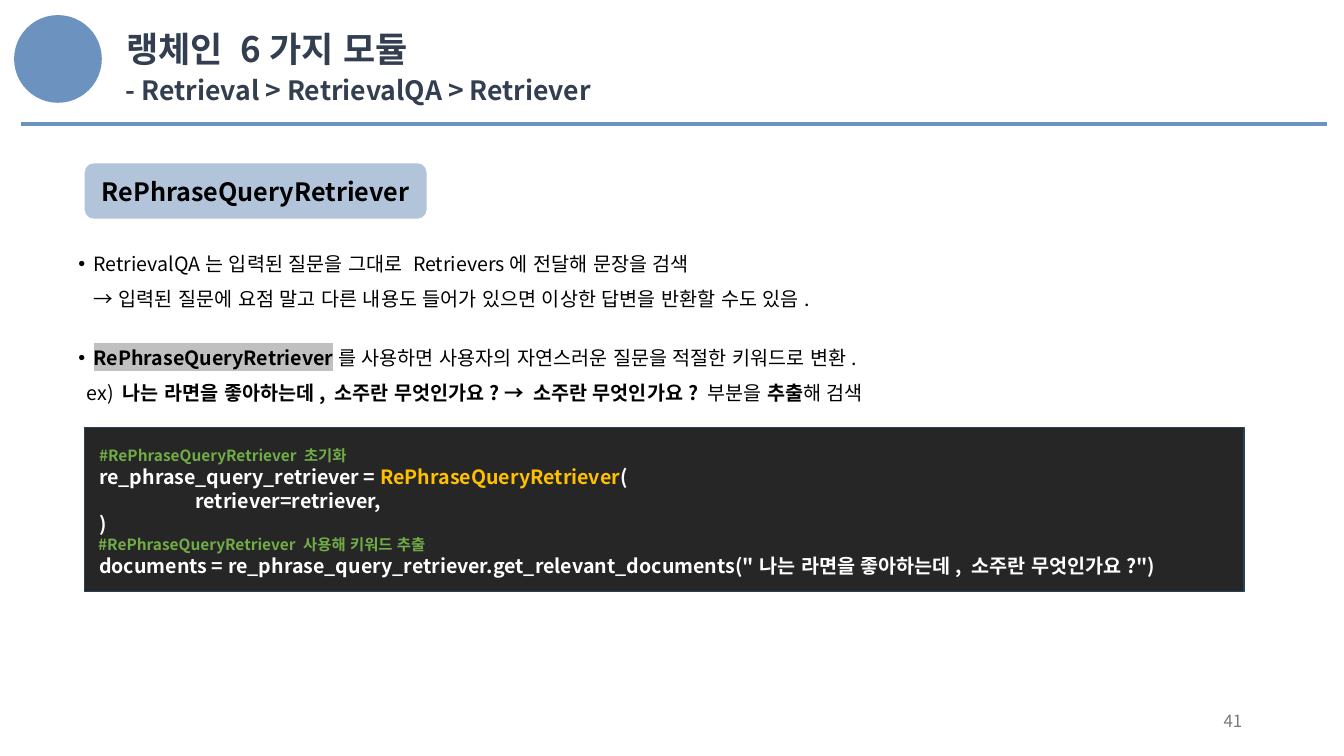
from lxml import etree
from pptx import Presentation
from pptx.dml.color import RGBColor
from pptx.enum.lang import MSO_LANGUAGE_ID
from pptx.enum.shapes import MSO_CONNECTOR, MSO_SHAPE
from pptx.enum.text import MSO_ANCHOR, MSO_AUTO_SIZE, PP_ALIGN
from pptx.oxml.ns import qn
from pptx.util import Inches, Pt

KR, SC = "Noto Sans CJK KR", "Noto Sans CJK SC"
BLUE, NAVY, GREEN = "6C92C0", "333F50", "70AD47"

# Format values of a run
TITLE = dict(size=25, name=KR, color=NAVY, bold=True)
SUBTITLE = dict(TITLE, size=19)
BODY = dict(size=14, name=SC, color="000000", bold=False)
BOLD = dict(BODY, bold=True)
MARKED = dict(BOLD, highlight="C0C0C0")
LABEL = dict(BOLD, size=18)
CODE = dict(BOLD, color="FFFFFF")
CLASS_NAME = dict(CODE, color="FFC000")
COMMENT = dict(CODE, size=11, color=GREEN)
PAGE_NUMBER = dict(BODY, size=12, color="797979")

# Each paragraph is a list of (text, format) runs
title_lines = [[("랭체인 6가지 모듈", TITLE)]]
subtitle_lines = [[("- Retrieval > ", dict(SUBTITLE, color="333F4F")),
                   ("RetrievalQA > Retriever", SUBTITLE)]]
label_lines = [[("RePhraseQueryRetriever", LABEL)]]
body_lines = [
    [("RetrievalQA는 입력된 질문을 그대로 Retrievers에 전달해 문장을 검색\v"
      "→ 입력된 질문에 요점 말고 다른 내용도 들어가 있으면 이상한 답변을 반환할 수도 있음.", BODY)],
    [("RePhraseQueryRetriever", MARKED),
     ("를 사용하면 사용자의 자연스러운 질문을 적절한 키워드로 변환.", BODY)],
    [("ex) ", BODY),
     ("나는 라면을 좋아하는데, 소주란 무엇인가요? → 소주란 무엇인가요? ", BOLD),
     ("부분을 ", BODY), ("추출", BOLD), ("해 검색", BODY)],
]
# Bullet, left margin in inches and space before in points, one per body paragraph
body_layout = [("•", 0.15, 0), ("•", 0.15, 17), (None, 0.08, 0)]
code_lines = [
    [(" ", CODE), ("#RePhraseQueryRetriever 초기화", COMMENT)],
    [(" re_phrase_query_retriever = ", CODE), ("RePhraseQueryRetriever", CLASS_NAME),
     ("(", CODE)],
    [("\tretriever=retriever,", CODE)],
    [(" )", CODE)],
    [(" #RePhraseQueryRetriever 사용해 키워드 추출", COMMENT)],
    [(' documents = re_phrase_query_retriever.get_relevant_documents('
      '"나는 라면을 좋아하는데, 소주란 무엇인가요?")', CODE)],
]


def rgb(color):
    return RGBColor.from_string(color)


def inches(*lengths):
    return [Inches(length) for length in lengths]


def format_span(span, values):
    font = span.font
    font.color.rgb = rgb(values["color"])
    if "highlight" in values:
        mark = etree.SubElement(font._element, qn("a:highlight"))
        etree.SubElement(mark, qn("a:srgbClr"), val=values["highlight"])
    for key, value in dict(size=Pt(values["size"]), bold=values["bold"],
                           name=values["name"],
                           language_id=MSO_LANGUAGE_ID.KOREAN).items():
        setattr(font, key, value)
    east_asian = etree.Element(qn("a:ea"), typeface=values["name"])
    font._element.find(qn("a:latin")).addnext(east_asian)


def write(box, lines, align=PP_ALIGN.LEFT, **frame_values):
    frame = box.text_frame
    for key, value in frame_values.items():
        setattr(frame, key, value)
    for index, line in enumerate(lines):
        para = frame.paragraphs[0] if index == 0 else frame.add_paragraph()
        para.alignment = align
        for text, values in line:
            for number, piece in enumerate(text.split("\v")):
                if number:
                    para.add_line_break()
                span = para.add_run()
                span.text = piece
                format_span(span, values)


def add_block(page, kind, place, fill, line=None):
    block = page.shapes.add_shape(kind, *inches(*place))
    block.shadow.inherit = False
    block.fill.solid()
    block.fill.fore_color.rgb = rgb(fill)
    if line:
        block.line.color.rgb = rgb(line)
        block.line.width = Pt(1)
    else:
        block.line.fill.background()
    return block


def set_bullet(para, bullet, margin):
    properties = para._p.get_or_add_pPr()
    properties.set("marL", str(Inches(margin)))
    if bullet:
        properties.set("indent", str(-Inches(margin)))
        etree.SubElement(properties, qn("a:buFont"), typeface="Arial")
        etree.SubElement(properties, qn("a:buChar"), char=bullet)


def set_tab(para, position):
    tabs = etree.SubElement(para._p.get_or_add_pPr(), qn("a:tabLst"))
    etree.SubElement(tabs, qn("a:tab"), pos=str(Inches(position)), algn="l")


def add_header(page):
    add_block(page, MSO_SHAPE.OVAL, (0.14, 0.15, 0.87, 0.87), BLUE)
    title = page.shapes.title
    title.left, title.top, title.width, title.height = inches(1.15, 0.22, 5, 0.3)
    subtitle = page.shapes.add_textbox(*inches(1.15, 0.68, 5, 0.3))
    for box, lines in ((title, title_lines), (subtitle, subtitle_lines)):
        write(box, lines, word_wrap=True, auto_size=MSO_AUTO_SIZE.NONE,
              vertical_anchor=MSO_ANCHOR.TOP)
    rule = page.shapes.add_connector(MSO_CONNECTOR.STRAIGHT,
                                     *inches(0.21, 1.23, 13.16, 1.23))
    rule.line.color.rgb = rgb(BLUE)
    rule.line.width = Pt(3)
    etree.SubElement(rule._element.spPr, qn("a:effectLst"))


def add_content(page):
    label = add_block(page, MSO_SHAPE.FLOWCHART_ALTERNATE_PROCESS,
                      (0.84, 1.62, 3.39, 0.55), "90ABCB")
    tint = label._element.spPr.find(".//" + qn("a:srgbClr"))
    etree.SubElement(tint, qn("a:alpha"), val="70000")
    write(label, label_lines, PP_ALIGN.CENTER, vertical_anchor=MSO_ANCHOR.MIDDLE)

    body = page.shapes.add_textbox(*inches(0.68, 2.33, 12.21, 1.71))
    write(body, body_lines, word_wrap=True, auto_size=MSO_AUTO_SIZE.SHAPE_TO_FIT_TEXT)
    for para, (bullet, margin, gap) in zip(body.text_frame.paragraphs, body_layout):
        set_bullet(para, bullet, margin)
        para.line_spacing = 1.5
        if gap:
            para.space_before = Pt(gap)

    code = add_block(page, MSO_SHAPE.RECTANGLE, (0.84, 4.24, 11.5, 1.63),
                     "262626", "264159")
    write(code, code_lines, word_wrap=True, vertical_anchor=MSO_ANCHOR.MIDDLE)
    for para in code.text_frame.paragraphs:
        set_tab(para, 1)

    number = page.shapes.add_textbox(*inches(9.42, 6.95, 3, 0.4))
    write(number, [[("41", PAGE_NUMBER)]], PP_ALIGN.RIGHT, word_wrap=True,
          vertical_anchor=MSO_ANCHOR.MIDDLE)


def main():
    deck = Presentation()
    deck.slide_width, deck.slide_height = inches(13.33, 7.5)
    page = deck.slides.add_slide(deck.slide_layouts[5])
    add_header(page)
    add_content(page)
    deck.save("out.pptx")


if __name__ == "__main__":
    main()
